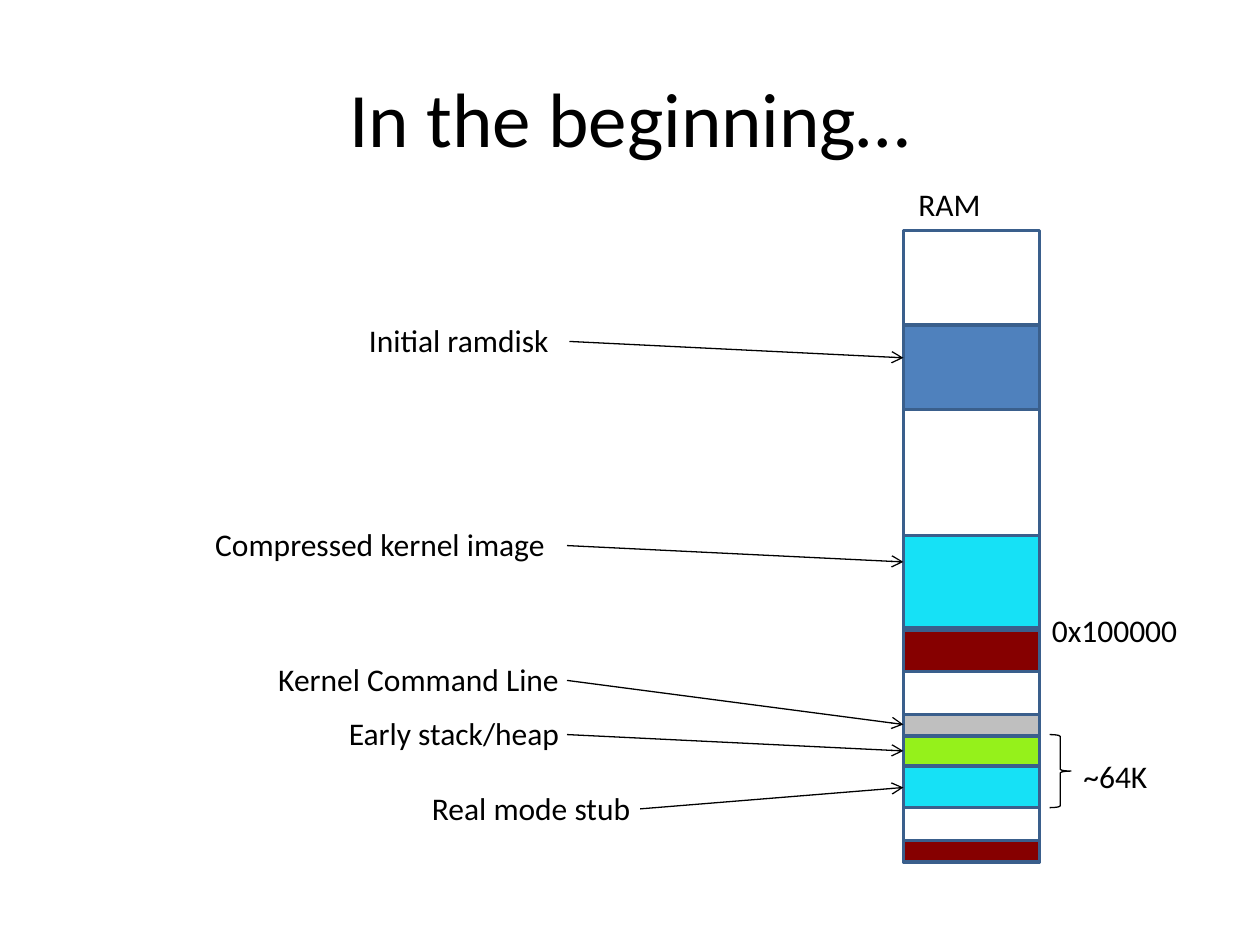
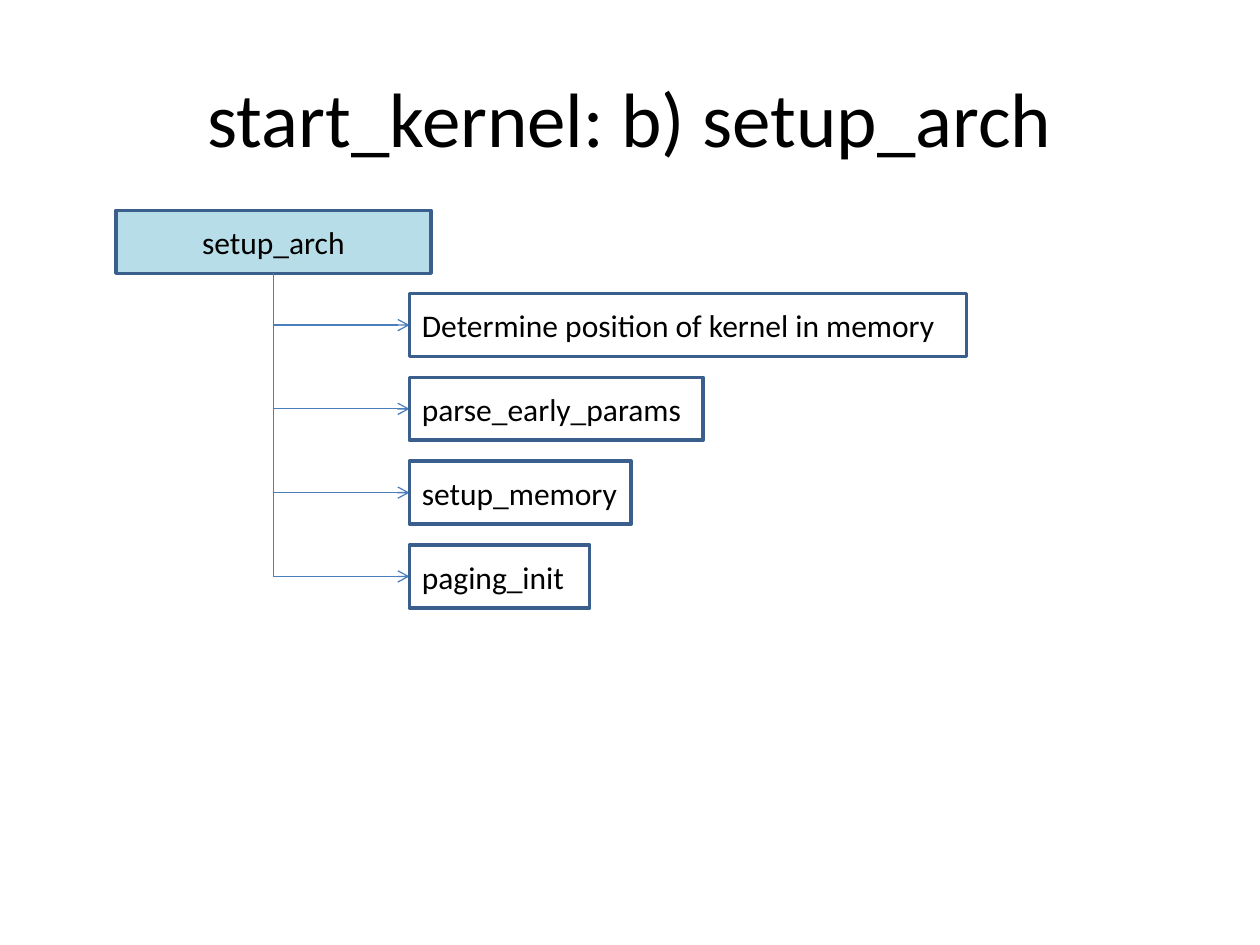
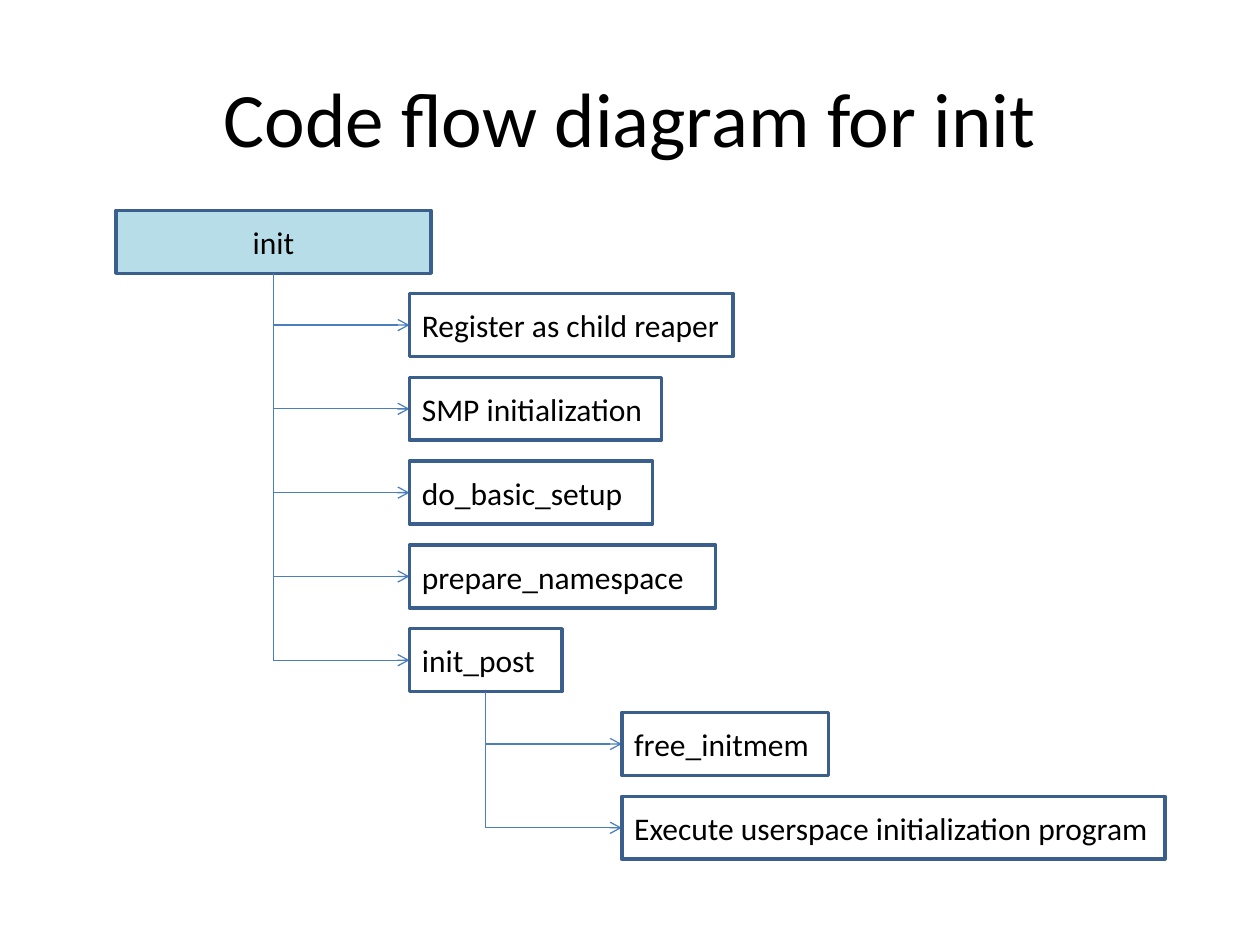
from lxml import etree
from pptx import Presentation
from pptx.dml.color import RGBColor
from pptx.enum.shapes import MSO_CONNECTOR, MSO_SHAPE
from pptx.enum.text import MSO_ANCHOR, PP_ALIGN
from pptx.oxml.ns import qn
from pptx.util import Inches, Pt

RECT, BRACE = MSO_SHAPE.RECTANGLE, MSO_SHAPE.RIGHT_BRACE
STRAIGHT = MSO_CONNECTOR.STRAIGHT
LEFT, CENTER = PP_ALIGN.LEFT, PP_ALIGN.CENTER
TOP, MIDDLE = MSO_ANCHOR.TOP, MSO_ANCHOR.MIDDLE

FONT = "Calibri"
BLACK = RGBColor(0x00, 0x00, 0x00)
WHITE = RGBColor(0xFF, 0xFF, 0xFF)
NAVY = RGBColor(0x3A, 0x5F, 0x8C)
BLUE = RGBColor(0x4B, 0x7E, 0xBC)
STEEL = RGBColor(0x4F, 0x81, 0xBD)
PALE = RGBColor(0xB7, 0xDE, 0xE8)
CYAN = RGBColor(0x16, 0xE1, 0xF6)
LIME = RGBColor(0x95, 0xF1, 0x1B)
GREY = RGBColor(0xBF, 0xBF, 0xBF)
RED = RGBColor(0x86, 0x00, 0x00)

# Memory map: (top, height, fill)
RAM_LEFT, RAM_WIDTH = 7.17, 1.08
REGIONS = [
    (1.83, 5, None),
    (6.67, 0.17, RED),
    (6.08, 0.33, CYAN),
    (5.83, 0.25, LIME),
    (5.67, 0.17, GREY),
    (5, 0.33, RED),
    (4.25, 0.73, CYAN),
    (2.58, 0.67, STEEL),
]
# (text, left, width, arrow start x, arrow start y, arrow end y)
POINTERS = [
    ("Real mode stub", 3.33, 2, 5.08, 6.42, 6.25),
    ("Early stack/heap", 2.67, 2, 4.5, 5.83, 5.96),
    ("Kernel Command Line", 2.11, 2.58, 4.5, 5.4, 5.75),
    ("Compressed kernel image", 1.61, 3.08, 4.5, 4.33, 4.46),
    ("Initial ramdisk", 2.83, 2, 4.52, 2.71, 2.84),
]
# (text, left, top, width)
NOTES = [
    ("0x100000", 8.25, 4.8, 1.42),
    ("~64K", 8.5, 5.96, 0.72),
    ("RAM", 7.19, 1.42, 1.06),
]
LABEL_HEIGHT = 0.4

# Call trees: (text, box width)
ARCH_STEPS = [
    ("Determine position of kernel in memory", 4.42),
    ("parse_early_params", 2.33),
    ("setup_memory", 1.76),
    ("paging_init", 1.43),
]
INIT_STEPS = [
    ("Register as child reaper", 2.57),
    ("SMP initialization", 2),
    ("do_basic_setup", 1.93),
    ("prepare_namespace", 2.43),
    ("init_post", 1.21),
]
POST_STEPS = [
    ("free_initmem", 1.64),
    ("Execute userspace initialization program", 4.31),
]
ROOT = (0.92, 1.67, 2.5)
BOX_HEIGHT = 0.5
FIRST_ROW = 2.33
PITCH = (6.32 - FIRST_ROW) / 6
REACH = 1.08


def write(shape, text, size=18, align=LEFT, anchor=TOP, wrap=True):
    frame = shape.text_frame
    frame.word_wrap = wrap
    frame.vertical_anchor = anchor
    para = frame.paragraphs[0]
    para.alignment = align
    run = para.add_run()
    run.text = text
    run.font.name = FONT
    run.font.size = Pt(size)
    run.font.color.rgb = BLACK


def label(slide, text, left, top, width, height=LABEL_HEIGHT, **style):
    box = slide.shapes.add_textbox(
        Inches(left), Inches(top), Inches(width), Inches(height))
    write(box, text, **style)


def block(slide, left, top, width, height, fill=None, kind=RECT,
          line=NAVY, weight=2):
    shape = slide.shapes.add_shape(
        kind, Inches(left), Inches(top), Inches(width), Inches(height))
    shape.shadow.inherit = False
    if fill is None:
        shape.fill.background()
    else:
        shape.fill.solid()
        shape.fill.fore_color.rgb = fill
    shape.line.color.rgb = line
    shape.line.width = Pt(weight)
    return shape


def link(slide, x1, y1, x2, y2, color=BLUE, arrow=True):
    line = slide.shapes.add_connector(
        STRAIGHT, Inches(x1), Inches(y1), Inches(x2), Inches(y2))
    line.line.color.rgb = color
    line.line.width = Pt(0.75)
    props = line._element.spPr
    if arrow:
        etree.SubElement(props.find(qn("a:ln")), qn("a:tailEnd"), type="arrow")
    etree.SubElement(props, qn("a:effectLst"))


def branch(slide, spine, top, steps, row=0):
    """Hang steps on a vertical line that starts at (spine, top)."""
    rows = [FIRST_ROW + (row + i) * PITCH for i in range(len(steps))]
    left = spine + REACH
    link(slide, spine, top, spine, rows[-1] + BOX_HEIGHT / 2, arrow=False)
    for y, (text, width) in zip(rows, steps):
        mid = y + BOX_HEIGHT / 2
        link(slide, spine, mid, left, mid)
        box = block(slide, left, y, width, BOX_HEIGHT, WHITE)
        write(box, text, anchor=MIDDLE)
    return left + steps[-1][1] / 2, rows[-1] + BOX_HEIGHT


def tree(slide, name, steps):
    left, top, width = ROOT
    root = block(slide, left, top, width, BOX_HEIGHT, PALE)
    write(root, name, align=CENTER, anchor=MIDDLE)
    return branch(slide, left + width / 2, top + BOX_HEIGHT, steps)


def page(deck, title):
    slide = deck.slides.add_slide(deck.slide_layouts[6])
    label(slide, title, 0.5, 0.3, 9, 1.25,
          size=44, align=CENTER, anchor=MIDDLE)
    return slide


def memory(deck):
    slide = page(deck, "In the beginning…")
    for top, height, fill in REGIONS:
        block(slide, RAM_LEFT, top, RAM_WIDTH, height, fill)
    for text, left, width, x, y, end in POINTERS:
        link(slide, x, y, RAM_LEFT, end, BLACK)
        label(slide, text, left, y - 0.21, width)
    block(slide, 8.33, 5.83, 0.17, 0.58, kind=BRACE, line=BLACK, weight=0.75)
    for text, left, top, width in NOTES:
        label(slide, text, left, top, width, wrap=False)


def main():
    deck = Presentation()
    deck.slide_width, deck.slide_height = Inches(10), Inches(7.5)
    memory(deck)
    tree(page(deck, "start_kernel: b) setup_arch"), "setup_arch", ARCH_STEPS)
    slide = page(deck, "Code flow diagram for init")
    spine, top = tree(slide, "init", INIT_STEPS)
    branch(slide, spine, top, POST_STEPS, row=len(INIT_STEPS))
    deck.save("out.pptx")


if __name__ == "__main__":
    main()
